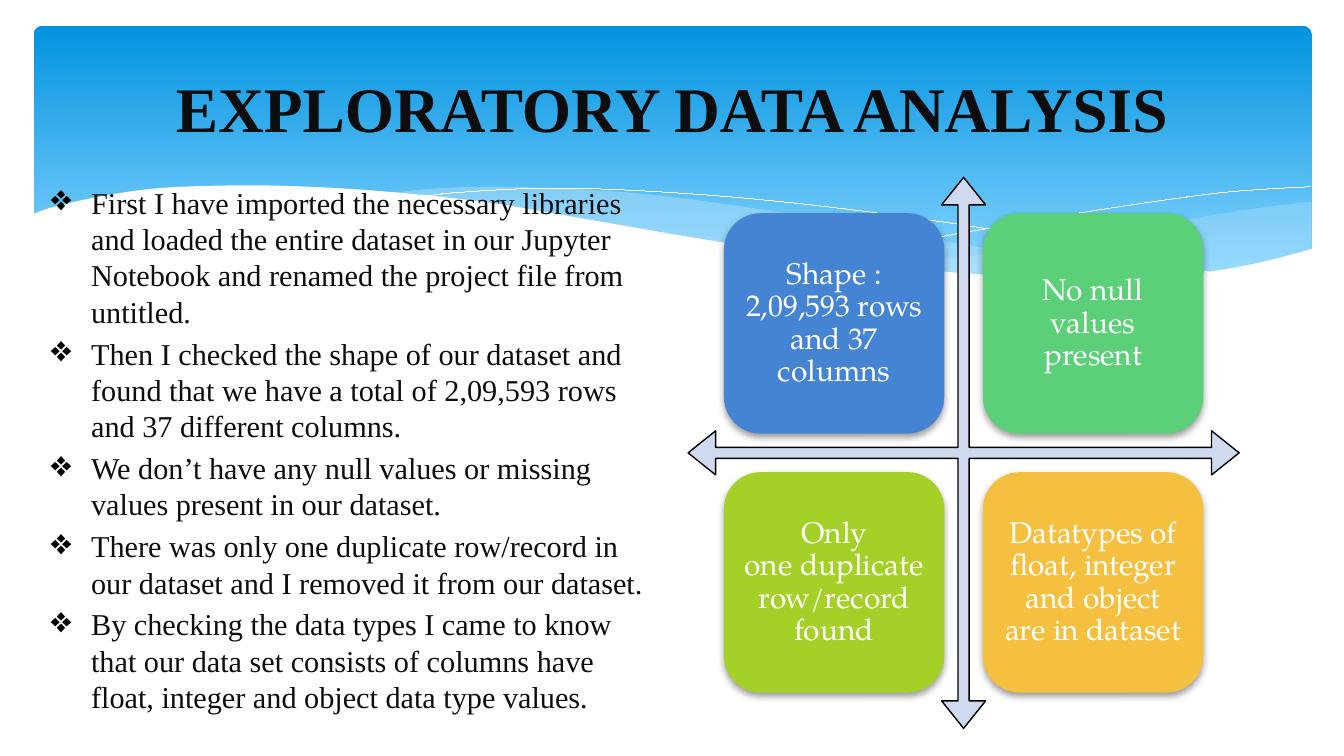
from dataclasses import dataclass

from lxml.etree import SubElement
from pptx import Presentation
from pptx.dml.color import RGBColor
from pptx.enum.shapes import MSO_SHAPE as Preset
from pptx.enum.text import MSO_ANCHOR as Anchor, PP_ALIGN as Align
from pptx.oxml.ns import qn
from pptx.util import Inches, Pt


@dataclass(frozen=True)
class Theme:
    heading_font: str = "Times New Roman"
    tile_font: str = "TeX Gyre Pagella"
    title_size: float = 34
    body_size: float = 16.2
    tile_size: float = 16
    hairline: float = 0.01
    ink: str = "0D0D0D"
    black: str = "000000"
    white: str = "FFFFFF"
    sky_top: str = "0293E0"
    sky_bottom: str = "83D3FE"
    wave: str = "C6E7FC"
    arrow: str = "CFD9EF"


THEME = Theme()
HARD_SPACE = chr(160)  # keeps two words on one line

FINDINGS = [
    "First I have imported the necessary libraries and loaded the entire dataset in our "
    "Jupyter Notebook and renamed the project file from untitled.",
    "Then I checked the shape of our dataset and found that we have a total of "
    "2,09,593 rows and 37 different columns.",
    "We don’t have any null values or missing values present in our dataset.",
    "There was only one duplicate row/record in our dataset and I removed it from our dataset.",
    "By checking the data types I came to know that our data set consists of columns have "
    "float, integer and object data type values.",
]
TILES = [
    ("Shape : 2,09,593 rows and 37 columns", "4584D3"),
    (f"No{HARD_SPACE}null values present", "5BD078"),
    (f"Only one{HARD_SPACE}duplicate row/record found", "A5D028"),
    ("Datatypes of float, integer and object are in dataset", "F5C040"),
]

# Wave edges as key points, in inches from the corner of the backdrop
RIGHT_WAVE = [
    [(9.76, 1.5), (9.35, 1.55), (8.61, 1.67), (7.53, 1.86), (6.61, 1.99)],
    [(6.61, 1.99), (7.19, 2.04), (7.81, 2.08), (8.24, 2.08), (8.81, 2.05), (9.28, 1.98),
     (9.76, 1.85)],
]
MIDDLE_WAVE = [
    [(8.93, 2.04), (8.07, 1.95), (7.06, 1.8), (6.29, 1.66), (5.41, 1.52), (4.65, 1.43),
     (3.8, 1.39), (3.28, 1.4), (2.86, 1.44)],
    [(2.86, 1.44), (3.62, 1.52), (4.49, 1.66), (5.66, 1.86), (6.5, 1.98), (7.36, 2.06),
     (8.07, 2.09), (8.57, 2.08), (8.93, 2.04)],
]
FRONT_WAVE = [
    [(9.77, 1.85), (9.3, 1.97), (8.75, 2.05), (8.09, 2.07), (7.26, 2.04), (6.26, 1.94),
     (5.29, 1.79), (4.47, 1.65), (3.65, 1.51), (2.92, 1.43), (2.3, 1.39), (1.77, 1.38),
     (1.19, 1.4), (0.76, 1.46), (0.4, 1.54), (0.23, 1.6)],
    [(0.23, 2.47), (9.77, 2.47)],
]
LONG_LINE = [[(3.09, 1.47), (3.44, 1.43), (4.16, 1.4), (5.1, 1.44), (6.08, 1.53),
              (7.27, 1.69), (8.31, 1.88), (9.07, 2.04)]]
SHORT_LINE = [[(6.13, 1.92), (6.95, 1.77), (8.06, 1.58), (8.95, 1.45), (9.38, 1.41),
               (9.75, 1.39)]]


def rgb(color):
    return RGBColor.from_string(color)


def add_xml(parent, tag, **values):
    return SubElement(parent, qn(tag), {name: str(value) for name, value in values.items()})


def style_shape(shape, fill=None, line=None, line_width=THEME.hairline, opacity=100):
    shape.shadow.inherit = False
    if fill:
        shape.fill.solid()
        shape.fill.fore_color.rgb = rgb(fill)
        if opacity < 100:
            color = next(shape.element.spPr.iter(qn("a:srgbClr")))
            add_xml(color, "a:alpha", val=opacity * 1000)
    else:
        shape.fill.background()
    if line:
        shape.line.color.rgb = rgb(line)
        shape.line.width = Pt(line_width)
    else:
        shape.line.fill.background()


def write(paragraph, text, font, size, color, bold=False, **layout):
    run = paragraph.add_run()
    run.text = text
    run.font.color.rgb = rgb(color)
    for name, value in {"name": font, "size": Pt(size), "bold": bold}.items():
        setattr(run.font, name, value)
    for name, value in layout.items():
        setattr(paragraph, name, value)


def smooth_edge(points, steps=6):
    """Catmull-Rom curve through the key points."""
    padded = [points[0], *points, points[-1]]
    curve = [points[0]]
    for a, b, c, d in zip(padded, padded[1:], padded[2:], padded[3:]):
        for t in (step / steps for step in range(1, steps + 1)):
            curve.append(tuple(
                q + (r - p) * t / 2 + (2 * p - 5 * q + 4 * r - s) * t**2 / 2
                + (3 * q - p - 3 * r + s) * t**3 / 2
                for p, q, r, s in zip(a, b, c, d)))
    return curve


def add_backdrop(slide, left, top):
    # Gradient banner
    banner = slide.shapes.add_shape(Preset.ROUNDED_RECTANGLE, Inches(left + 0.25),
                                    Inches(top + 0.19), Inches(9.51), Inches(2.02))
    banner.adjustments[0] = 0.034
    style_shape(banner)
    banner.fill.gradient()
    banner.fill.gradient_angle = 270
    colors = [(0, THEME.sky_top), (0.9, THEME.sky_bottom)]
    for stop, (position, color) in zip(banner.fill.gradient_stops, colors):
        stop.position = position
        stop.color.rgb = rgb(color)

    # Waves and hairlines, back to front
    waves = [
        (RIGHT_WAVE, True, {"fill": THEME.wave, "opacity": 29}),
        (MIDDLE_WAVE, True, {"fill": THEME.wave, "opacity": 40}),
        (LONG_LINE, False, {"line": THEME.white}),
        (SHORT_LINE, False, {"line": THEME.white}),
        (FRONT_WAVE, True, {"fill": THEME.white}),
    ]
    for edges, closed, look in waves:
        start, *rest = [(Inches(left + x), Inches(top + y))
                        for edge in edges for x, y in smooth_edge(edge)]
        builder = slide.shapes.build_freeform(*start)
        builder.add_line_segments(rest, close=closed)
        style_shape(builder.convert_to_shape(), **look)


def add_title(slide, left, top, width, height):
    title = slide.shapes.title
    title.element.getparent().append(title.element)  # in front of the backdrop
    box = {"left": left, "top": top, "width": width, "height": height}
    for name, value in box.items():
        setattr(title, name, Inches(value))
    title.text_frame.vertical_anchor = Anchor.MIDDLE
    write(title.text_frame.paragraphs[0], "EXPLORATORY DATA ANALYSIS", THEME.heading_font,
          THEME.title_size, THEME.ink, bold=True, alignment=Align.CENTER)


def add_findings(slide, left, top, width, height):
    frame = slide.shapes.add_textbox(*map(Inches, (left, top, width, height))).text_frame
    frame.word_wrap = True
    for index, text in enumerate(FINDINGS):
        paragraph = frame.add_paragraph() if index else frame.paragraphs[0]
        write(paragraph, text, THEME.heading_font, THEME.body_size, THEME.ink,
              space_before=Pt(3))
        properties = paragraph._p.get_or_add_pPr()
        properties.set("marL", str(Inches(0.3)))
        properties.set("indent", str(Inches(-0.3)))
        add_xml(add_xml(properties, "a:buClr"), "a:srgbClr", val=THEME.black)
        add_xml(properties, "a:buSzPct", val=120000)
        add_xml(properties, "a:buChar", char="❖")


def add_matrix(slide, left, top, size):
    # Four-way arrow
    arrow = slide.shapes.add_shape(Preset.QUAD_ARROW, *map(Inches, (left, top, size, size)))
    for index, value in enumerate((0.02, 0.04, 0.05)):
        arrow.adjustments[index] = value
    style_shape(arrow, THEME.arrow, THEME.black, 0.75)

    # One tile in each quadrant
    tile_size, margin = 0.4 * size, 0.065 * size
    pitch = size - 2 * margin - tile_size
    for index, (text, color) in enumerate(TILES):
        row, column = divmod(index, 2)
        box = (left + margin + column * pitch, top + margin + row * pitch,
               tile_size, tile_size)
        tile = slide.shapes.add_shape(Preset.ROUNDED_RECTANGLE, *map(Inches, box))
        style_shape(tile, color)
        effects = tile.element.spPr.find(qn("a:effectLst"))
        shadow = add_xml(effects, "a:outerShdw", blurRad=Pt(4), dist=Pt(2), dir=90 * 60000,
                         rotWithShape=0)
        add_xml(add_xml(shadow, "a:srgbClr", val=THEME.black), "a:alpha", val=38000)
        frame = tile.text_frame
        frame.word_wrap = True
        frame.vertical_anchor = Anchor.MIDDLE
        for side in ("left", "top", "right", "bottom"):
            setattr(frame, f"margin_{side}", Inches(0.07))
        write(frame.paragraphs[0], text, THEME.tile_font, THEME.tile_size, THEME.white,
              alignment=Align.CENTER, line_spacing=0.9)


def main():
    presentation = Presentation()
    presentation.slide_width = Inches(10)
    presentation.slide_height = Inches(10 * 9 / 16)
    slide = presentation.slides.add_slide(presentation.slide_layouts[5])
    add_backdrop(slide, 0, 0)
    add_title(slide, 0.5, 0.28, 9, 1.03)
    add_findings(slide, 0.28, 1.32, 4.64, 4.09)
    add_matrix(slide, 5.12, 1.32, 4.1)
    presentation.save("out.pptx")


if __name__ == "__main__":
    main()
